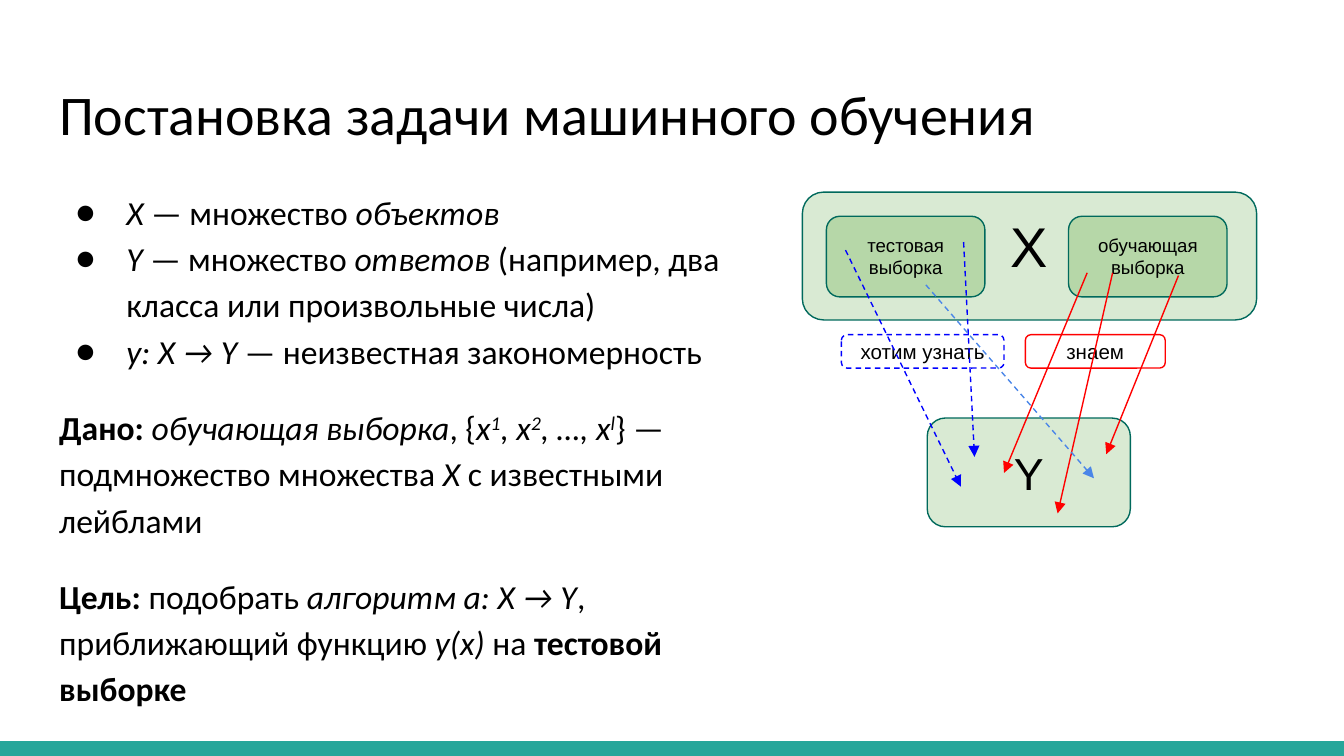
import pptx
import pptx.util
from pptx.dml.color import RGBColor
from pptx.enum.dml import MSO_LINE
from pptx.enum.shapes import MSO_CONNECTOR, MSO_SHAPE
from pptx.enum.text import MSO_ANCHOR, MSO_AUTO_SIZE, PP_ALIGN
from pptx.oxml import parse_xml
from pptx.oxml.ns import nsdecls

BLACK = RGBColor(0x00, 0x00, 0x00)
TEAL = RGBColor(0x26, 0xA6, 0x9A)
DARK_TEAL = RGBColor(0x00, 0x69, 0x5C)
PALE_GREEN = RGBColor(0xD9, 0xEA, 0xD3)
GREEN = RGBColor(0xB6, 0xD7, 0xA8)
RED = RGBColor(0xFF, 0x00, 0x00)
BLUE = RGBColor(0x00, 0x00, 0xFF)
LIGHT_BLUE = RGBColor(0x4A, 0x86, 0xE8)

TITLE = "Постановка задачи машинного обучения"
# Run styles: i = italic, b = bold, ^ = superscript
BULLETS = [
    [("X", "i"), (" — множество ", ""), ("объектов", "i")],
    [("Y", "i"), (" — множество ", ""), ("ответов", "i"),
     (" (например, два класса или произвольные числа)", "")],
    [("y: X → Y", "i"), (" — неизвестная закономерность", "")],
]
STATEMENTS = [
    [("Дано: ", "b"), ("обучающая выборка", "i"), (", {", ""), ("x", "i"), ("1", "i^"),
     (", x", "i"), ("2", "i^"), (", …, x", "i"), ("l", "i^"),
     ("} — подмножество множества ", ""), ("X ", "i"), ("с известными лейблами", "")],
    [("Цель: ", "b"), ("подобрать ", ""), ("алгоритм a: X → Y", "i"),
     (", приближающий функцию ", ""), ("y(x)", "i"), (" на ", ""), ("тестовой выборке", "b")],
]

# Diagram parts, in percent of the diagram's width and height:
# left, top, width, height, text, size, fill, line, dashed, anchor
NODES = [
    (0, 0, 100, 38.2, "X", 30, PALE_GREEN, DARK_TEAL, False, MSO_ANCHOR.TOP),
    (27.5, 67.5, 44.7, 32.5, "Y", 24, PALE_GREEN, DARK_TEAL, False, MSO_ANCHOR.MIDDLE),
    (5.3, 7.2, 34.9, 24.1, "тестовая выборка", 10, GREEN, DARK_TEAL, False, MSO_ANCHOR.TOP),
    (58.6, 7.2, 34.9, 24.1, "обучающая выборка", 10, GREEN, DARK_TEAL, False, MSO_ANCHOR.TOP),
    (8.6, 42.6, 35.8, 10, "хотим узнать", 11, None, BLUE, True, MSO_ANCHOR.MIDDLE),
    (49.1, 42.6, 30.8, 10, "знаем", 11, None, RED, False, MSO_ANCHOR.MIDDLE),
]
# from x, from y, to x, to y, colour, dashed
ARROWS = [
    (62.7, 24.1, 44.4, 83.9, RED, False),
    (68.3, 24.1, 56.2, 96, RED, False),
    (82.8, 24.9, 66.9, 78.3, RED, False),
    (9.5, 17.3, 34.9, 88, BLUE, True),
    (35.5, 14.9, 37.9, 79.1, BLUE, True),
    (27.2, 27.7, 64.2, 85.5, LIGHT_BLUE, True),
]


def inches(*values):
    return [pptx.util.Inches(value) for value in values]


def set_frame(text_frame, anchor):
    text_frame.word_wrap = True
    text_frame.auto_size = MSO_AUTO_SIZE.NONE
    text_frame.vertical_anchor = anchor
    text_frame.margin_left = text_frame.margin_right = pptx.util.Inches(0.1)
    text_frame.margin_top = text_frame.margin_bottom = pptx.util.Inches(0.1)


def set_font(font, name, size):
    font.name = name
    font.size = pptx.util.Pt(size)
    font.color.rgb = BLACK


def set_line(line, color, dashed):
    line.color.rgb = color
    line.width = pptx.util.Pt(0.75)
    if dashed:
        line.dash_style = MSO_LINE.DASH


def place(shape, box):
    shape.left, shape.top, shape.width, shape.height = inches(*box)


def add_title(slide, box):
    title = slide.shapes.title
    place(title, box)
    set_frame(title.text_frame, MSO_ANCHOR.TOP)
    title.text_frame.text = TITLE
    paragraph = title.text_frame.paragraphs[0]
    paragraph.alignment = PP_ALIGN.LEFT
    set_font(paragraph.runs[0].font, "Calibri", 30)


def set_bullet(paragraph, bulleted):
    properties = paragraph._p.get_or_add_pPr()
    indent = (0.5, -0.38) if bulleted else (0, 0)
    for name, value in zip(("marL", "indent"), inches(*indent)):
        properties.set(name, str(value))
    elements = ['<a:buNone {}/>']
    if bulleted:
        elements = [f'<a:buClr {{}}><a:srgbClr val="{BLACK}"/></a:buClr>',
                    '<a:buFont {} typeface="Calibri"/>', '<a:buChar {} char="●"/>']
    for element in elements:
        properties.append(parse_xml(element.format(nsdecls("a"))))


def add_body(slide, box):
    body = slide.placeholders[1]
    place(body, box)
    text_frame = body.text_frame
    set_frame(text_frame, MSO_ANCHOR.TOP)
    for index, runs in enumerate(BULLETS + STATEMENTS):
        paragraph = text_frame.add_paragraph() if index else text_frame.paragraphs[0]
        bulleted = index < len(BULLETS)
        set_bullet(paragraph, bulleted)
        paragraph.line_spacing = 1.15
        paragraph.space_before = pptx.util.Pt(0 if bulleted else 16)
        paragraph.space_after = pptx.util.Pt(0)
        for text, style in runs:
            run = paragraph.add_run()
            run.text = text
            set_font(run.font, "Calibri", 18)
            run.font.italic = "i" in style
            run.font.bold = "b" in style
            if "^" in style:
                run._r.get_or_add_rPr().set("baseline", "30000")


def add_node(slide, box, text, size, fill, line, dashed, anchor):
    node = slide.shapes.add_shape(MSO_SHAPE.ROUNDED_RECTANGLE, *inches(*box))
    node.shadow.inherit = False
    if fill is None:
        node.fill.background()
    else:
        node.fill.solid()
        node.fill.fore_color.rgb = fill
    set_line(node.line, line, dashed)
    set_frame(node.text_frame, anchor)
    node.text_frame.text = text
    paragraph = node.text_frame.paragraphs[0]
    paragraph.alignment = PP_ALIGN.CENTER
    set_font(paragraph.runs[0].font, "Arial", size)


def add_arrow(slide, ends, color, dashed):
    arrow = slide.shapes.add_connector(MSO_CONNECTOR.STRAIGHT, *inches(*ends))
    set_line(arrow.line, color, dashed)
    arrow.line._get_or_add_ln().append(
        parse_xml(f'<a:tailEnd {nsdecls("a")} type="triangle"/>'))
    arrow._element.spPr.append(parse_xml(f'<a:effectLst {nsdecls("a")}/>'))


def add_diagram(slide, box):
    left, top, width, height = box

    def point(x, y):
        return left + width * x / 100, top + height * y / 100

    for x, y, node_width, node_height, *style in NODES:
        size = (width * node_width / 100, height * node_height / 100)
        add_node(slide, point(x, y) + size, *style)
    for from_x, from_y, to_x, to_y, *style in ARROWS:
        add_arrow(slide, point(from_x, from_y) + point(to_x, to_y), *style)


def add_bottom_bar(slide, box):
    bar = slide.shapes.add_shape(MSO_SHAPE.RECTANGLE, *inches(*box))
    bar.shadow.inherit = False
    bar.fill.solid()
    bar.fill.fore_color.rgb = TEAL
    bar.line.fill.background()


def main():
    presentation = pptx.Presentation()
    width = 10
    height = width * 9 / 16
    presentation.slide_width, presentation.slide_height = inches(width, height)
    slide = presentation.slides.add_slide(presentation.slide_layouts[1])
    margin, bar_height = 0.34, 0.11
    add_bottom_bar(slide, (0, height - bar_height, width, bar_height))
    add_title(slide, (margin, 0.49, width - 2 * margin, 0.67))
    add_body(slide, (margin, 1.28, 5.4, 3.72))
    add_diagram(slide, (5.97, 1.43, 3.38, 2.49))
    presentation.save("out.pptx")


if __name__ == "__main__":
    main()
